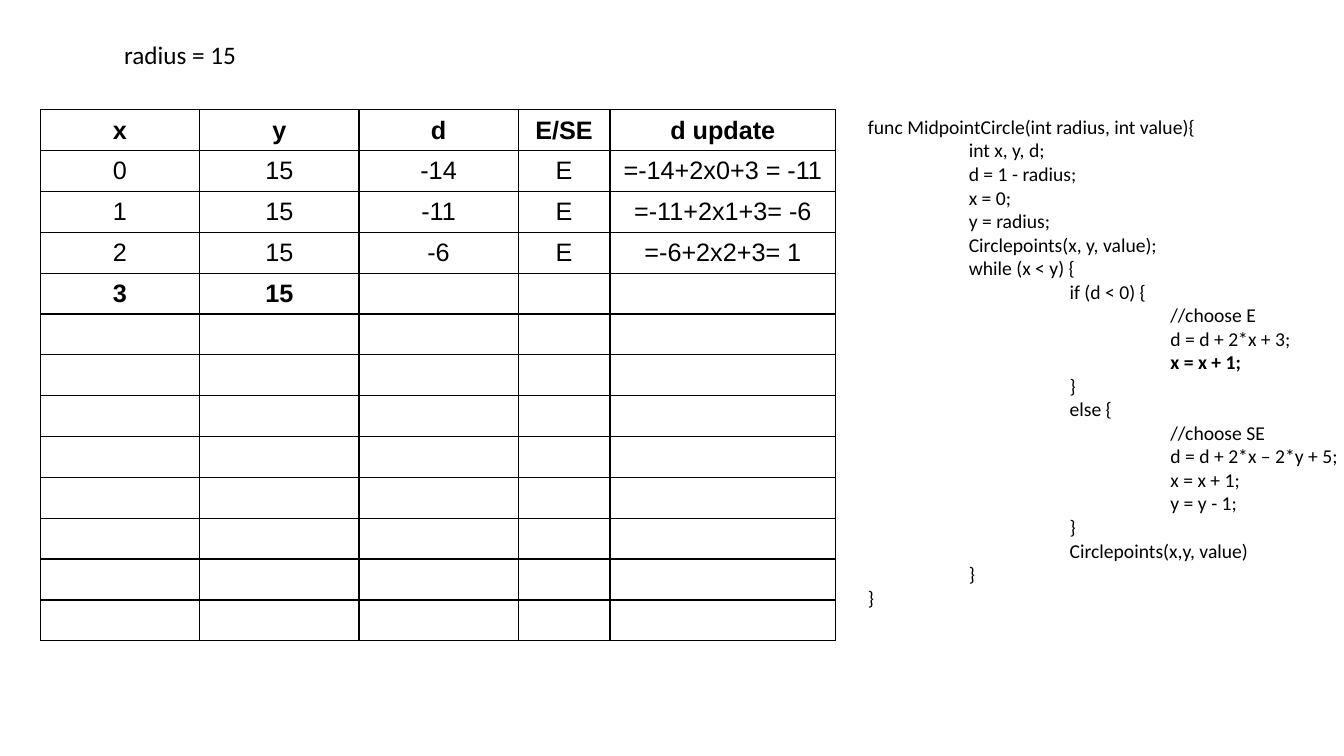
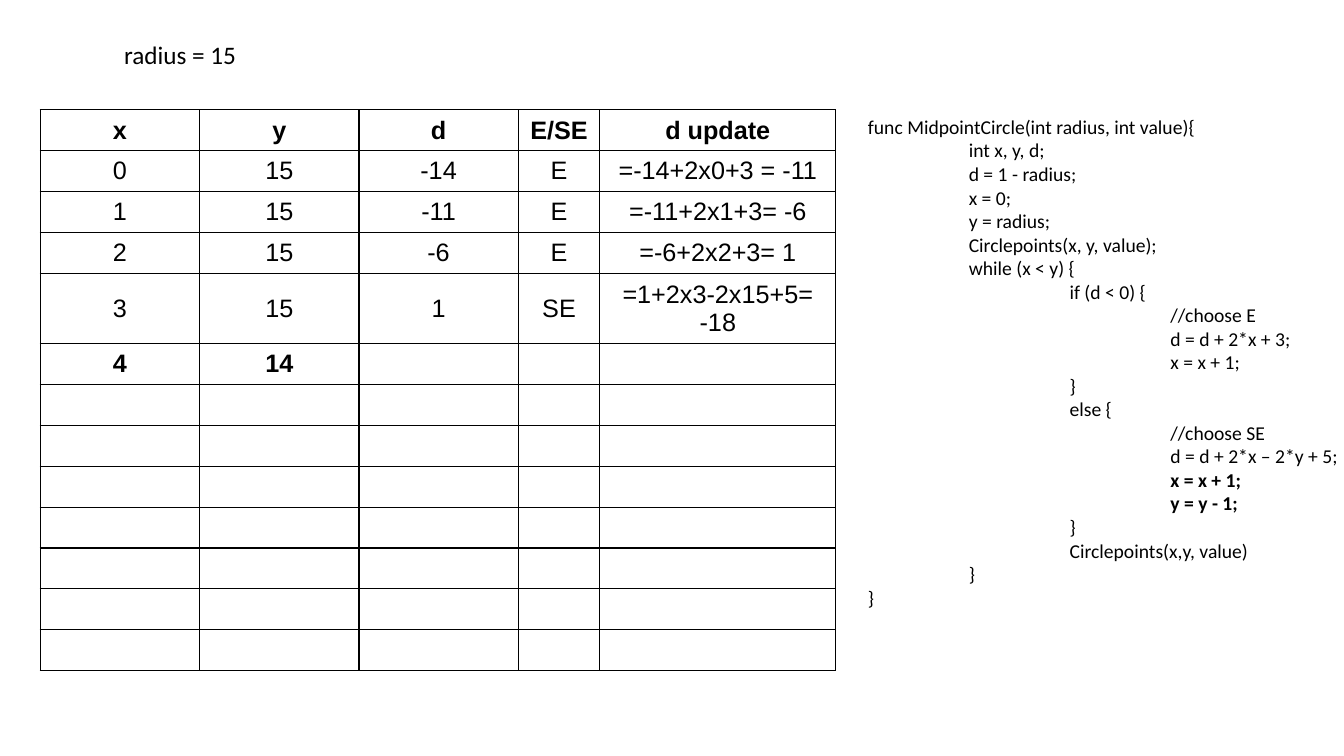
from lxml import etree
from pptx import Presentation
from pptx import util as u
from pptx.dml import color
from pptx.enum import text
from pptx.oxml import ns

COLORS = {"ink": "000000"}
INK = color.RGBColor.from_string(COLORS["ink"])
CODE = """func MidpointCircle(int radius, int value){
\tint x, y, d;
\td = 1 - radius;
\tx = 0;
\ty = radius;
\tCirclepoints(x, y, value);
\twhile (x < y) {
\t\tif (d < 0) {
\t\t\t//choose E
\t\t\td = d + 2*x + 3;
\t\t\tx = x + 1;
\t\t}
\t\telse {
\t\t\t//choose SE
\t\t\td = d + 2*x – 2*y + 5;
\t\t\tx = x + 1;
\t\t\ty = y - 1;
\t\t}
\t\tCirclepoints(x,y, value)
\t}
}""".split("\n")
HEADER = ["x", "y", "d", "E/SE", "d update"]
STEPS = [
    ["0", "15", "-14", "E", "=-14+2x0+3 = -11"],
    ["1", "15", "-11", "E", "=-11+2x1+3= -6"],
    ["2", "15", "-6", "E", "=-6+2x2+3= 1"],
    ["3", "15", "1", "SE", "=1+2x3-2x15+5= -18"],
]
ROW_COUNT = 13
SLIDES = [
    {"steps": STEPS[:3], "next": ["3", "15"], "bold_code": [10], "choice_width": 0.91},
    {"steps": STEPS, "next": ["4", "14"], "bold_code": [15, 16], "choice_width": 0.81},
]


def style(paragraph, name, size, bold=False):
    paragraph.font.name = name
    paragraph.font.size = u.Pt(size)
    paragraph.font.bold = bold
    paragraph.font.color.rgb = INK


def add_borders(cell):
    properties = cell._tc.get_or_add_tcPr()
    for side in ("a:lnL", "a:lnR", "a:lnT", "a:lnB"):
        line = etree.SubElement(properties, ns.qn(side), w=str(u.Pt(1)))
        fill = etree.SubElement(line, ns.qn("a:solidFill"))
        etree.SubElement(fill, ns.qn("a:srgbClr"), val=COLORS["ink"])


presentation = Presentation()
presentation.slide_width = u.Inches(13.33)
presentation.slide_height = u.Inches(7.5)
title_only = presentation.slide_layouts[5]

for content in SLIDES:
    slide = presentation.slides.add_slide(title_only)

    title = slide.shapes.title
    title.left, title.top = u.Inches(1.13), u.Inches(0.34)
    title.width, title.height = u.Inches(1.33), u.Inches(0.4)
    title.text_frame.text = "radius = 15"
    title.text_frame.word_wrap = False
    title.text_frame.vertical_anchor = text.MSO_ANCHOR.TOP
    title.text_frame.auto_size = text.MSO_AUTO_SIZE.NONE
    title.text_frame.paragraphs[0].alignment = text.PP_ALIGN.LEFT
    style(title.text_frame.paragraphs[0], "Calibri", 18)

    code_box = slide.shapes.add_textbox(
        u.Inches(8.51), u.Inches(1.09), u.Inches(5.12), u.Inches(5.28))
    code_box.text_frame.word_wrap = True
    code_box.text_frame.text = "\n".join(CODE)
    for index, paragraph in enumerate(code_box.text_frame.paragraphs):
        style(paragraph, "Calibri", 14, index in content["bold_code"])
        paragraph._p.get_or_add_pPr().set("defTabSz", str(u.Inches(1)))

    table = slide.shapes.add_table(
        ROW_COUNT, len(HEADER), u.Inches(0.4), u.Inches(1.09),
        u.Inches(7.88), u.Inches(5.27)).table
    table.first_row = False
    table.horz_banding = False
    choice_width = content["choice_width"]
    widths = [1.58, 1.58, 1.58, choice_width, 3.15 - choice_width]
    for column, width in zip(table.columns, widths):
        column.width = u.Inches(width)

    rows = [HEADER, *content["steps"], content["next"]]
    bold_rows = (0, len(rows) - 1)
    for row_index, row in enumerate(table.rows):
        values = rows[row_index] if row_index < len(rows) else []
        for column_index, cell in enumerate(row.cells):
            add_borders(cell)
            cell.fill.background()
            cell.vertical_anchor = text.MSO_ANCHOR.MIDDLE
            if column_index < len(values):
                cell.text = values[column_index]
            paragraph = cell.text_frame.paragraphs[0]
            paragraph.alignment = text.PP_ALIGN.CENTER
            style(paragraph, "Arial", 18, row_index in bold_rows)

presentation.save("out.pptx")
